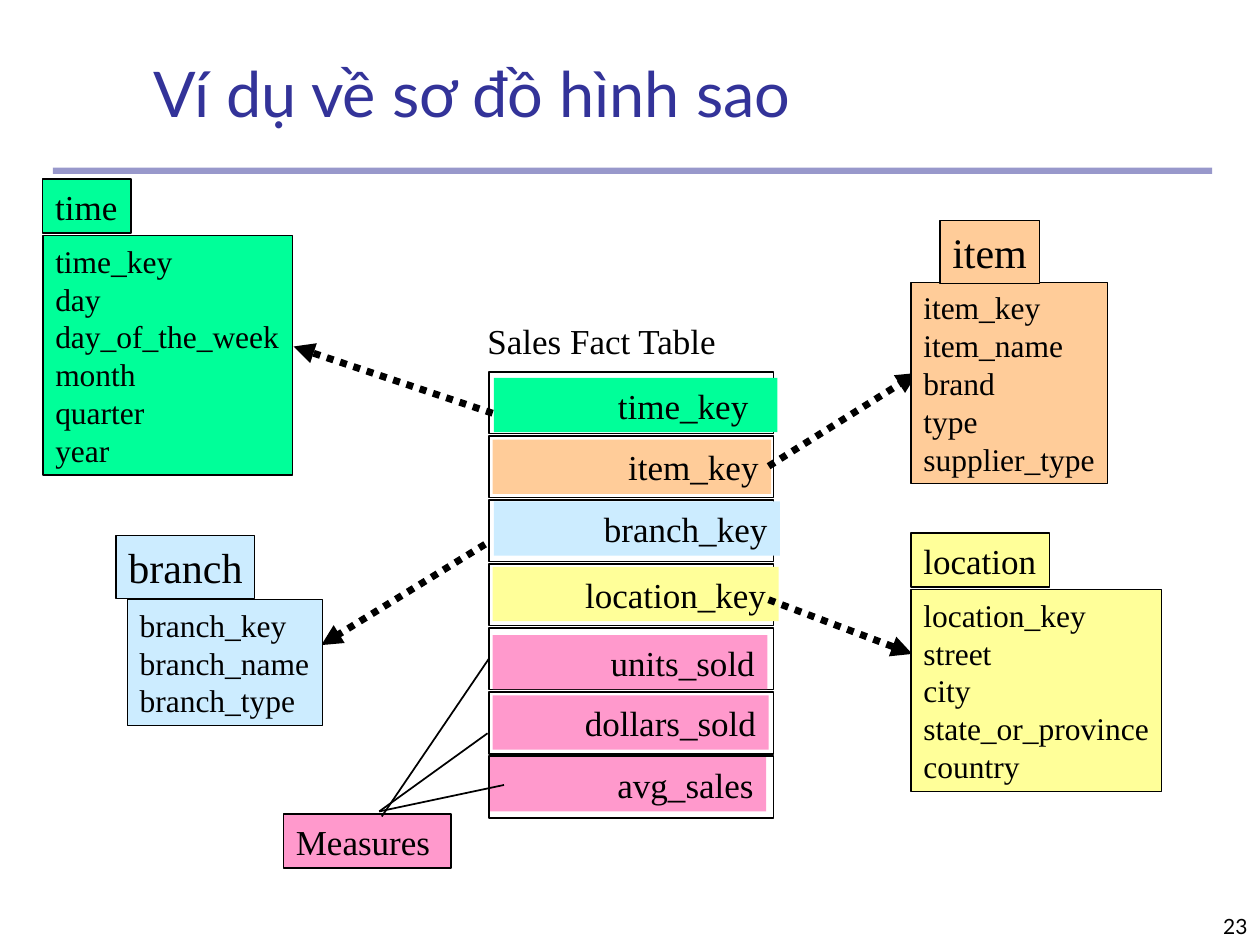
import lxml.etree
import pptx
import pptx.dml.color
import pptx.enum.dml
import pptx.enum.shapes
import pptx.enum.text
import pptx.oxml.ns
import pptx.util
from pptx.util import Inches

RGBColor = pptx.dml.color.RGBColor
ALIGN = pptx.enum.text.PP_ALIGN
ANCHOR = pptx.enum.text.MSO_ANCHOR
qn = pptx.oxml.ns.qn

BLACK = RGBColor(0x00, 0x00, 0x00)
INDIGO = RGBColor(0x33, 0x33, 0x99)
GREEN = RGBColor(0x00, 0xFF, 0x99)
ORANGE = RGBColor(0xFF, 0xCC, 0x99)
BLUE = RGBColor(0xCC, 0xEC, 0xFF)
YELLOW = RGBColor(0xFF, 0xFF, 0x99)
PINK = RGBColor(0xFF, 0x99, 0xCC)
SERIF = "Times New Roman"


def add_box(shapes, at, fill=None, border=None, lines=(), size=20,
            align=ALIGN.LEFT, wrap=False, font=SERIF):
    box = shapes.add_shape(pptx.enum.shapes.MSO_SHAPE.RECTANGLE, *map(Inches, at))
    box.shadow.inherit = False
    if fill is None:
        box.fill.background()
    else:
        box.fill.solid()
        box.fill.fore_color.rgb = fill
    if border is None:
        box.line.fill.background()
    else:
        box.line.color.rgb = BLACK
        box.line.width = pptx.util.Pt(border)
    frame = box.text_frame
    frame.word_wrap = wrap
    frame.vertical_anchor = ANCHOR.TOP
    if lines:
        frame.text = "\n".join(lines)
    for paragraph in frame.paragraphs:
        paragraph.alignment = align
        paragraph.font.name = font
        paragraph.font.size = pptx.util.Pt(size)
        paragraph.font.color.rgb = BLACK
    return box


def add_line(shapes, start, end, width, arrow=False):
    line = shapes.add_connector(pptx.enum.shapes.MSO_CONNECTOR.STRAIGHT,
                                *map(Inches, start + end))
    line.line.color.rgb = BLACK
    line.line.width = pptx.util.Pt(width)
    properties = line._element.spPr
    if arrow:
        line.line.dash_style = pptx.enum.dml.MSO_LINE.ROUND_DOT
        outline = properties.find(qn("a:ln"))
        lxml.etree.SubElement(outline, qn("a:tailEnd"), type="triangle")
    lxml.etree.SubElement(properties, qn("a:effectLst"))
    return line


presentation = pptx.Presentation()
presentation.slide_width = Inches(10)
presentation.slide_height = Inches(7.5)
slide = presentation.slides.add_slide(presentation.slide_layouts[5])
shapes = slide.shapes

rule = add_box(shapes, (0.42, 1.33, 9.2, 0.05), INDIGO)
rule_color = rule._element.spPr.find(qn("a:solidFill"))[0]
lxml.etree.SubElement(rule_color, qn("a:alpha"), val="50000")

title = shapes.title
title.left, title.top, title.width, title.height = map(Inches, (1.12, 0.54, 7.9, 0.54))
title.text_frame.text = "Ví dụ về sơ đồ hình sao"
title.text_frame.auto_size = pptx.enum.text.MSO_AUTO_SIZE.NONE
title.text_frame.vertical_anchor = ANCHOR.BOTTOM
heading = title.text_frame.paragraphs[0]
heading.alignment = ALIGN.LEFT
heading.font.name = "Lato"
heading.font.size = pptx.util.Pt(36)
heading.font.color.rgb = INDIGO

page_number = add_box(shapes, (7.92, 7, 2.08, 0.5), lines=["23"], size=12,
                      align=ALIGN.RIGHT, wrap=True, font="Lato")
page_number.text_frame.vertical_anchor = ANCHOR.BOTTOM

add_box(shapes, (3.77, 2.49, 2.04, 0.43), lines=["Sales Fact Table"])
fact_columns = [
    ("time_key", GREEN, 3.92, 3, 2.25),
    ("item_key", ORANGE, 3.91, 3.49, 2.21),
    ("branch_key", BLUE, 3.92, 3.98, 2.27),
    ("location_key", YELLOW, 3.91, 4.5, 2.27),
    ("units_sold", PINK, 3.91, 5.04, 2.18),
    ("dollars_sold", PINK, 3.91, 5.52, 2.19),
    ("avg_sales", PINK, 3.89, 6.01, 2.19),
]
fact_rows = {}
for index, (name, color, left, top, width) in enumerate(fact_columns):
    fact_rows[name] = add_box(shapes, (3.88, 2.95 + index * 3.05 / 6, 2.26, 0.49), border=1)
    cell = add_box(shapes, (left, top, width, 0.43), color, lines=[name],
                   align=ALIGN.RIGHT, wrap=True)
    if name == "time_key":
        cell.text_frame.margin_right = Inches(0.23)

add_box(shapes, (2.25, 6.46, 1.33, 0.43), PINK, 0.75, ["Measures"], wrap=True)
units_line = add_line(shapes, (3.03, 6.48), (3.87, 5.23), 1)
units_line.end_connect(fact_rows["units_sold"], 1)
for end in [(3.87, 5.82), (4, 6.23)]:
    add_line(shapes, (3.01, 6.44), end, 1)

for start, end in [
    ((3.85, 4.32), (2.55, 5.12)),
    ((3.91, 3.28), (2.33, 2.75)),
    ((6.1, 4.76), (7.24, 5.19)),
    ((6.1, 3.7), (7.28, 2.96)),
]:
    add_line(shapes, start, end, 4, arrow=True)

dimensions = [
    ("time", 20, GREEN, (0.34, 1.42, 0.7, 0.43), (0.34, 1.87, 1.98, 1.9),
     ["time_key", "day", "day_of_the_week", "month", "quarter", "year"]),
    ("location", 20, YELLOW, (7.23, 4.23, 1.1, 0.43), (7.23, 4.68, 1.99, 1.6),
     ["location_key", "street", "city", "state_or_province", "country"]),
    ("item", 24, ORANGE, (7.46, 1.75, 0.79, 0.5), (7.23, 2.24, 1.56, 1.6),
     ["item_key", "item_name", "brand", "type", "supplier_type"]),
    ("branch", 24, BLUE, (0.92, 4.25, 1.1, 0.5), (1.01, 4.76, 1.55, 1),
     ["branch_key", "branch_name", "branch_type"]),
]
for name, size, color, name_at, columns_at, columns in dimensions:
    dimension = shapes.add_group_shape().shapes
    add_box(dimension, columns_at, color, 0.75, columns, 18)
    add_box(dimension, name_at, color, 0.75, [name], size)

presentation.save("out.pptx")
